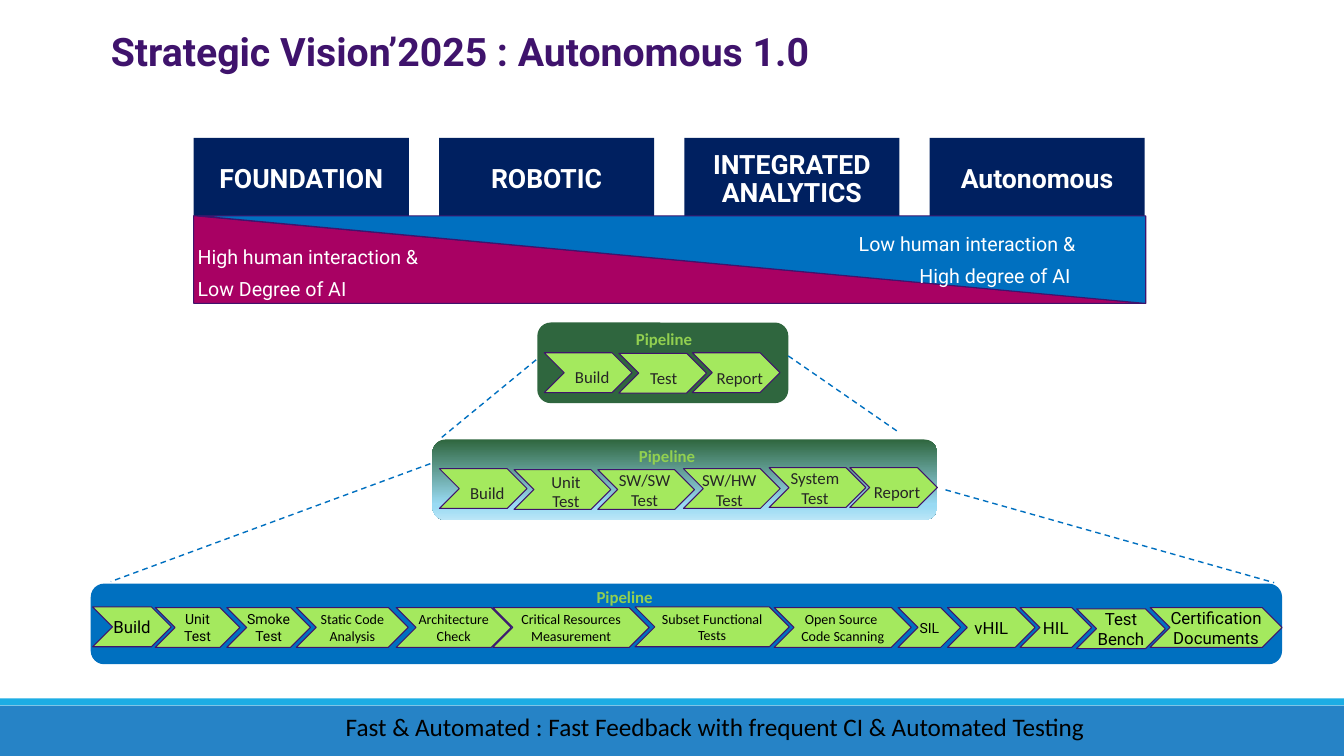
from copy import deepcopy
from dataclasses import dataclass
from typing import Optional

from pptx import Presentation
from pptx.dml.color import RGBColor
from pptx.enum.dml import MSO_LINE
from pptx.enum.shapes import MSO_CONNECTOR, MSO_SHAPE
from pptx.enum.text import MSO_ANCHOR, MSO_AUTO_SIZE, PP_ALIGN
from pptx.oxml.ns import qn
from pptx.oxml.xmlchemy import OxmlElement
from pptx.shapes.autoshape import Shape
from pptx.slide import Slide
from pptx.util import Pt

NAVY, BLUE, MAGENTA, PURPLE = "002060", "0070C0", "A80163", "3F136C"
GREEN, LIME, CAPTION_GREEN = "2F663E", "A4E95E", "92D050"
WHITE, BLACK, CHARCOAL = "FFFFFF", "000000", "262626"
STEP_HEIGHT = 28.4
NO_INSETS = (0, 0, 0, 0)


@dataclass
class Box:
    left: float
    top: float
    width: float
    height: float


@dataclass
class Style:
    size: float
    font: str = "Calibri"
    color: str = BLACK
    bold: bool = False
    align: PP_ALIGN = PP_ALIGN.LEFT
    spacing: Optional[object] = None
    before: float = 0
    anchor: MSO_ANCHOR = MSO_ANCHOR.TOP
    insets: tuple = (7.2, 3.6, 7.2, 3.6)
    wrap: bool = True


@dataclass
class Step:
    """One chevron; label_center and label_top place a separate label."""
    label: str
    left: float
    top: float
    width: float
    size: float = 12
    font: str = "Roboto"
    label_center: Optional[float] = None
    label_top: float = 0


@dataclass
class Pipeline:
    panel: Box
    fill: str
    caption_left: float
    caption_top: float
    steps: list


def rgb(color: str) -> RGBColor:
    return RGBColor.from_string(color)


def write(shape: Shape, text: str, style: Style) -> None:
    frame = shape.text_frame
    frame.word_wrap = style.wrap
    frame.auto_size = MSO_AUTO_SIZE.NONE
    frame.vertical_anchor = style.anchor
    (frame.margin_left, frame.margin_top,
     frame.margin_right, frame.margin_bottom) = map(Pt, style.insets)
    paragraph = frame.paragraphs[0]
    paragraph.alignment = style.align
    paragraph.space_before = Pt(style.before)
    if style.spacing:
        paragraph.line_spacing = style.spacing
    for index, line in enumerate(text.split("\n")):
        if index:
            paragraph.add_line_break()
        run = paragraph.add_run()
        run.text = line
        run.font.name, run.font.size = style.font, Pt(style.size)
        run.font.bold = style.bold
        run.font.color.rgb = rgb(style.color)


def add_text(slide: Slide, box: Box, text: str, style: Style) -> None:
    write(slide.shapes.add_textbox(Pt(box.left), Pt(box.top), Pt(box.width), Pt(box.height)),
          text, style)


def add_block(slide: Slide, kind: MSO_SHAPE, box: Box, fill: str, line: str = "") -> Shape:
    block = slide.shapes.add_shape(kind, Pt(box.left), Pt(box.top), Pt(box.width), Pt(box.height))
    block.shadow.inherit = False
    block.fill.solid()
    block.fill.fore_color.rgb = rgb(fill)
    if line:
        block.line.color.rgb = rgb(line)
        block.line.width = Pt(0.75)
    else:
        block.line.fill.background()
    return block


def shade_downwards(shape: Shape, colors: dict[int, str]) -> None:
    """Fill with a top-to-bottom gradient; keys are percentages."""
    shape.fill.gradient()
    shape.fill.gradient_angle = 270
    stop_list = shape._element.spPr.find(".//" + qn("a:gsLst"))
    for _ in range(len(colors) - len(stop_list)):
        stop_list.append(deepcopy(stop_list[0]))
    for stop, (percent, color) in zip(shape.fill.gradient_stops, colors.items()):
        stop.position = percent / 100
        stop.color.rgb = rgb(color)


def add_step(slide: Slide, step: Step) -> None:
    chevron = add_block(slide, MSO_SHAPE.NOTCHED_RIGHT_ARROW,
                        Box(step.left, step.top, step.width, STEP_HEIGHT), LIME, PURPLE)
    chevron.adjustments[0], chevron.adjustments[1] = 1, 0.5
    if step.label_center is None:
        write(chevron, step.label, Style(
            step.size, step.font, align=PP_ALIGN.CENTER,
            anchor=MSO_ANCHOR.MIDDLE, insets=(0, 3.6, 0, 3.6)))
        return
    spacing = Pt(14 if "\n" in step.label else 23)
    add_text(slide, Box(step.label_center - 27, step.label_top, 54, 28), step.label, Style(
        step.size, "Calibri", CHARCOAL, align=PP_ALIGN.CENTER, spacing=spacing,
        before=5, insets=NO_INSETS, wrap=False))


def add_pipeline(slide: Slide, pipeline: Pipeline) -> None:
    panel = add_block(slide, MSO_SHAPE.ROUNDED_RECTANGLE, pipeline.panel, pipeline.fill)
    if pipeline is EXPANDED:
        shade_downwards(panel, {0: GREEN, 80: "99DAF3", 83: "99DAF3", 100: "BBE6F7"})
    add_text(slide, Box(pipeline.caption_left, pipeline.caption_top, 61.2, 21.6), "Pipeline",
             Style(12, color=CAPTION_GREEN, bold=True, wrap=False))
    for step in pipeline.steps:
        add_step(slide, step)


def add_zoom_line(slide: Slide, *ends: float) -> None:
    line = slide.shapes.add_connector(MSO_CONNECTOR.STRAIGHT, *map(Pt, ends))
    line.line.color.rgb = rgb(BLUE)
    line.line.width = Pt(1)
    line.line.dash_style = MSO_LINE.DASH
    line._element.spPr.append(OxmlElement("a:effectLst"))


BASIC = Pipeline(Box(383.8, 230.4, 179.3, 57.6), GREEN, 447.1, 231.1, [
    Step("Build", 388.8, 252, 62.6, label_center=423, label_top=253.4),
    Step("Test", 442.1, 252.4, 62.6, label_center=474.1, label_top=254.2),
    Step("Report", 494.6, 252, 62.6, label_center=528.5, label_top=254.2),
])
EXPANDED = Pipeline(Box(308.9, 313.9, 360.7, 57.6), GREEN, 449.3, 314.6, [
    Step("Build", 313.9, 334.8, 62.6, label_center=348.1, label_top=336.2),
    Step("Unit\nTest", 367.2, 335.5, 69.1, label_center=404.3, label_top=337),
    Step("SW/SW\nTest", 427, 335.5, 69.1, label_center=460.4, label_top=336.2),
    Step("SW/HW\nTest", 488.2, 334.8, 69.1, label_center=520.9, label_top=336.2),
    Step("System\nTest", 549.4, 334.1, 69.1, label_center=582.1, label_top=334.8),
    Step("Report", 607, 334.1, 62.6, label_center=640.8, label_top=335.5),
])
FULL = Pipeline(Box(64.8, 416.9, 851, 57.6), BLUE, 419, 415.4, [
    Step("Build", 66.2, 433.6, 56.2),
    Step("Unit Test", 110.9, 434, 60.5, 10),
    Step("Smoke Test", 162, 434, 59.8, 10),
    Step("Static Code\nAnalysis", 211.7, 434, 79.9, 10, "Calibri"),
    Step("Architecture\nCheck", 283, 434, 82.1, 10, "Calibri"),
    Step("Critical Resources\nMeasurement", 352.1, 434, 111.6, 10, "Calibri"),
    Step("Subset Functional\nTests", 453.6, 433.6, 110.2, 10, "Calibri"),
    Step("Open Source \nCode Scanning", 553, 434, 97.9, 10, "Calibri"),
    Step("SIL", 641.5, 434, 44.6, 10),
    Step("vHIL", 676.8, 434, 62.6),
    Step("HIL", 728.6, 434, 51.1),
    Step("Test Bench", 769, 434.9, 63.4),
    Step("Certification Documents", 821.5, 434, 94.3),
])
STAGES = ["FOUNDATION", "ROBOTIC", "INTEGRATED ANALYTICS", "Autonomous"]


def main() -> None:
    deck = Presentation()
    deck.slide_width, deck.slide_height = Pt(960), Pt(540)
    slide = deck.slides.add_slide(deck.slide_layouts[5])

    title = slide.shapes.title
    title.left, title.top, title.width, title.height = Pt(79.2), Pt(23.8), Pt(823), Pt(31)
    write(title, "Strategic Vision’2025 : Autonomous 1.0", Style(
        28, "Roboto", PURPLE, True, spacing=0.89, before=5, insets=NO_INSETS))

    add_block(slide, MSO_SHAPE.RECTANGLE, Box(0, 504, 960, 36), "2683C6")
    add_block(slide, MSO_SHAPE.RECTANGLE, Box(0, 498.9, 960, 5), "1CADE4")
    add_text(slide, Box(239.8, 504.7, 558, 28.8),
             "Fast & Automated : Fast Feedback with frequent CI & Automated Testing", Style(18))

    for index, stage in enumerate(STAGES):
        header = add_block(slide, MSO_SHAPE.RECTANGLE,
                           Box(138.4 + 175.2 * index, 98.6, 153.6, 59.8), NAVY)
        write(header, stage, Style(19, "Roboto", WHITE, True, PP_ALIGN.CENTER, 0.9,
                                   anchor=MSO_ANCHOR.MIDDLE, insets=(10.8, 5.8, 10.8, 5.8)))

    add_block(slide, MSO_SHAPE.RIGHT_TRIANGLE, Box(138.4, 154.1, 679.7, 62.6), MAGENTA, PURPLE)
    ai_degree = add_block(slide, MSO_SHAPE.RIGHT_TRIANGLE,
                          Box(141.6, 154.1, 676.8, 62.6), BLUE, PURPLE)
    ai_degree.rotation = 180
    for box, text, align in (
        (Box(589, 159.1, 179.3, 82.8), "Low human interaction & High degree of AI ", PP_ALIGN.RIGHT),
        (Box(141.1, 168.5, 175, 49), "High human interaction & Low Degree of AI", PP_ALIGN.LEFT),
    ):
        add_text(slide, box, text, Style(14, "Roboto", WHITE, align=align, spacing=Pt(23),
                                         before=5, insets=NO_INSETS))

    for pipeline in (BASIC, EXPANDED, FULL):
        add_pipeline(slide, pipeline)
    add_zoom_line(slide, 383, 257, 314.6, 313.2)
    add_zoom_line(slide, 563, 254.2, 642.2, 308.9)
    add_zoom_line(slide, 675.4, 349.9, 910.1, 416.2)
    add_zoom_line(slide, 307.4, 331.2, 79.2, 415.4)
    deck.save("out.pptx")


if __name__ == "__main__":
    main()
